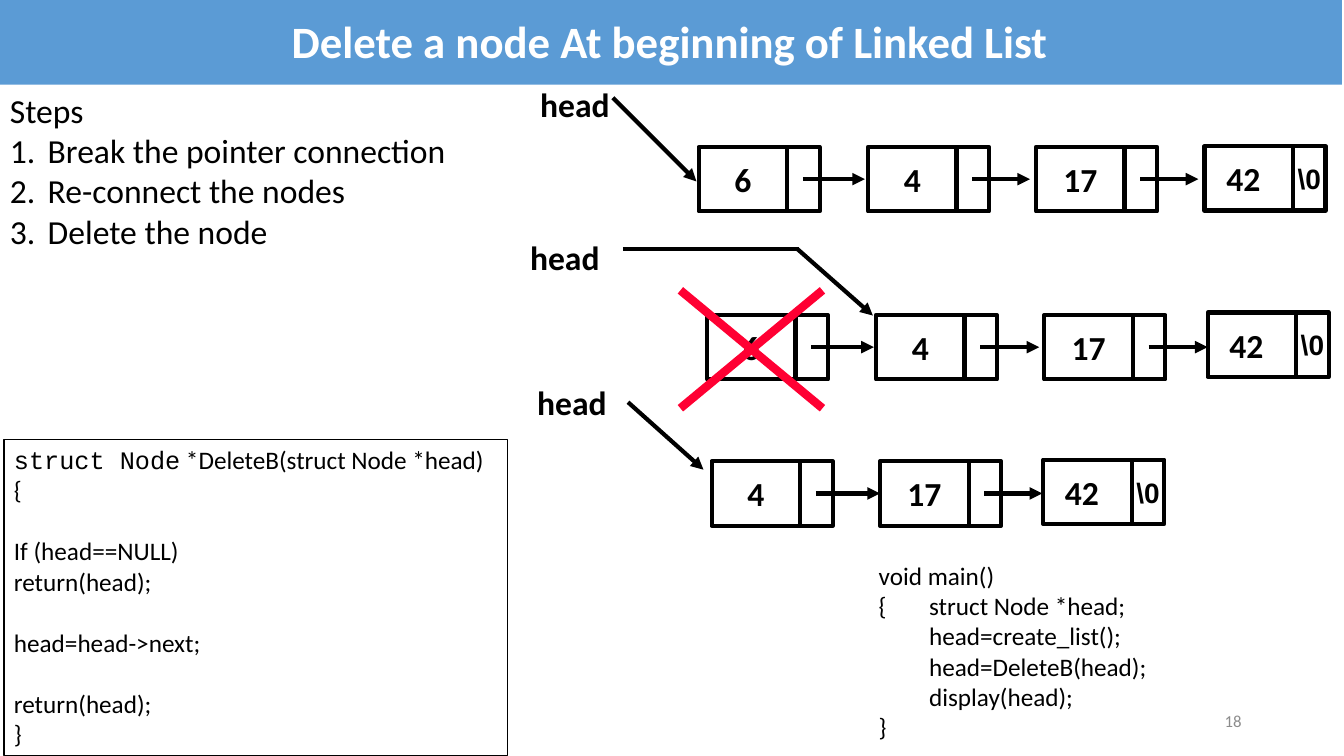
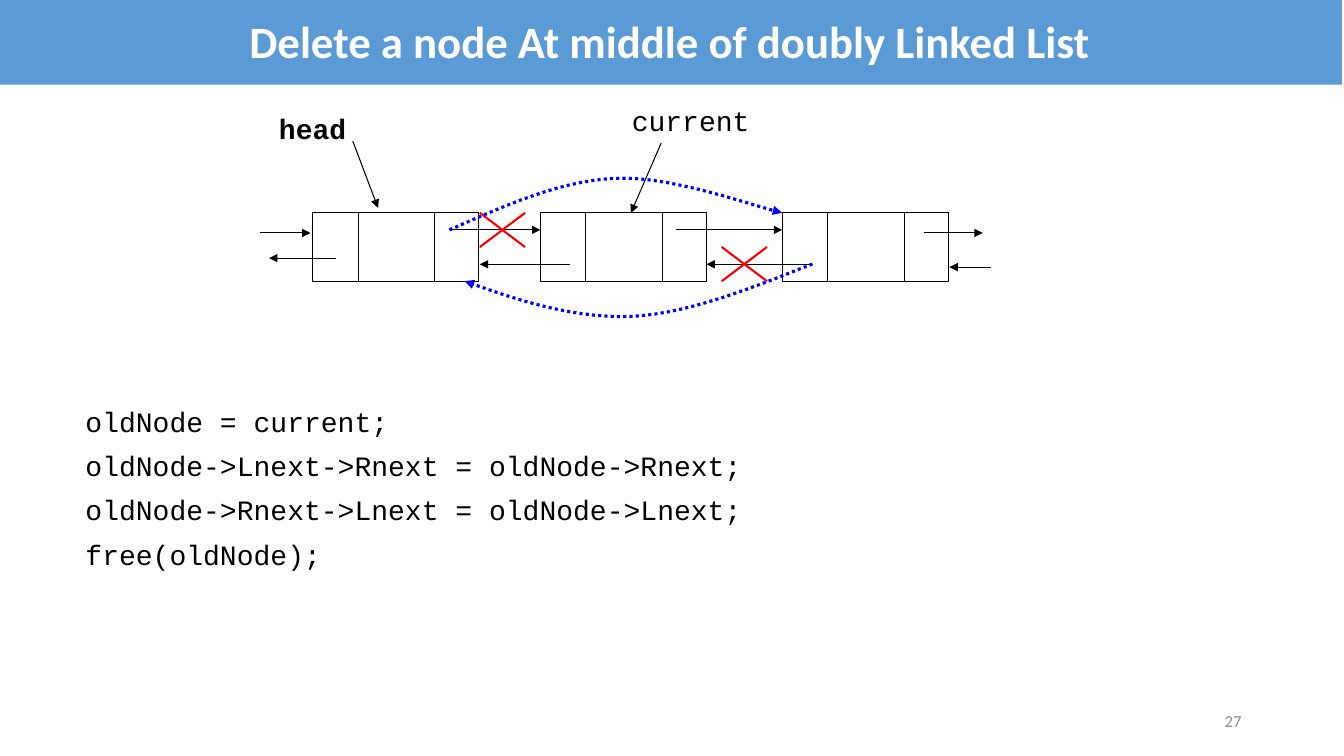
import pptx
import pptx.util
import pptx.dml.color
import pptx.enum.dml
import pptx.enum.shapes
import pptx.enum.text
import pptx.oxml
import pptx.oxml.ns

Pt = pptx.util.Pt
RGB = pptx.dml.color.RGBColor
ALIGN = pptx.enum.text.PP_ALIGN
ANCHOR = pptx.enum.text.MSO_ANCHOR

BLACK = RGB(0, 0, 0)
WHITE = RGB(255, 255, 255)
BAND_BLUE = RGB(0x5B, 0x9B, 0xD5)
PAGE_GREY = RGB(0x8C, 0x8C, 0x8C)
CROSS_PINK = RGB(0xFF, 0, 0x33)
CROSS_RED = RGB(255, 0, 0)
NEW_LINK_BLUE = RGB(0, 0, 255)
BODY, MONO, NULL_FONT = "Calibri", "Courier New", "Arial"

# ---- Content: deletion at the beginning (points) ----
STEPS = ["Break the pointer connection", "Re-connect the nodes", "Delete the node"]
# Each list: head label, pointer lines (last one has the arrowhead),
# nodes as (value, left, top, end of link arrow; None marks the tail)
LISTS = [
    dict(label=(378.7, 56.2), pointer=[(437.8, 69.8, 497.5, 129.6)],
         nodes=[("6", 499, 105, 617.8), ("4", 620, 105, 735.8),
                ("17", 740, 105, 856), ("42", 860.4, 104.4, None)]),
    dict(label=(371.5, 165.6),
         pointer=[(445, 177.8, 571, 177.8), (569.5, 177.8, 623.5, 225.4)],
         nodes=[("6", 505, 225, 624.2), ("4", 625.7, 225, 742.3),
                ("17", 746, 225, 862.6), ("42", 862.6, 223.2, None)]),
    dict(label=(376.6, 269.3), pointer=[(448.6, 287.3, 502.5, 335.5)],
         nodes=[("4", 508.3, 329.5, 628.6), ("17", 628.6, 329.5, 744.5),
                ("42", 745.2, 328.3, None)]),
]
DATA_W, LINK_W, NODE_H = 63.3, 23.2, 46
DELETED_CROSS = (486, 207.4, 101.5, 84.2)
# Code lines: (runs as (text, font), blank lines before)
DELETE_CODE = [
    ([("struct Node", MONO), (" *DeleteB(struct Node *head)", BODY)], 0),
    ([("{", BODY)], 0),
    ([("If (head==NULL)", BODY)], 1),
    ([("return(head);", BODY)], 0),
    ([("head=head->next;", BODY)], 1),
    ([("return(head);", BODY)], 1),
    ([("}", BODY)], 0),
]
MAIN_CODE = ["void main()", "{\tstruct Node *head;", "\thead=create_list();",
             "\thead=DeleteB(head);", "\tdisplay(head);", "}"]
CODE_LINE = 22

# ---- Content: deletion in the middle of a doubly linked list ----
DOUBLY_LEFTS = [223.2, 385.9, 558.7]
DOUBLY_TOP, DOUBLY_W, DOUBLY_H = 152, 118.8, 49
DOUBLY_DIVIDERS = [32.6, 87.1]
DOUBLY_ARROWS = [
    (472.3, 102.2, 450.7, 152), (252, 100.8, 270, 148.5),
    (321, 164.2, 386, 164.2), (407.5, 188.8, 342.7, 188.8),
    (483, 164.2, 558.7, 164.2), (580.3, 188.8, 504.7, 188.8),
    (185.8, 166.4, 221.8, 166.4), (239.8, 184.4, 192.2, 184.4),
    (707.8, 190.8, 678.2, 190.8), (660.2, 166.4, 702, 166.4),
]
BROKEN_LINKS = [(342.7, 152, 32.4, 24.5), (515.5, 176.4, 32.4, 24.5)]
# Curves: start point, then pairs of Bezier segments
NEW_LINKS = [
    [(321.1, 164.2), (360.7, 146.9), (400.3, 128.9), (439.9, 127.4),
     (479.5, 125.3), (539.3, 147.6), (558.7, 152)],
    [(580.3, 188.6), (536.4, 205.9), (492.5, 223.9), (450.7, 226.1),
     (409, 227.5), (370, 214.6), (331.9, 200.9)],
]
LABELS = [("head", 192.2, 76.3, True), ("current", 444.2, 70.6, False)]
RELINK_CODE = ["oldNode = current;", "oldNode->Lnext->Rnext = oldNode->Rnext;",
               "oldNode->Rnext->Lnext = oldNode->Lnext;", "free(oldNode);"]


# ---- Shared helpers ----
def add_run(paragraph, text, size, font=BODY, color=BLACK, bold=False):
    run = paragraph.add_run()
    run.text = text
    run.font.name, run.font.size, run.font.bold = font, Pt(size), bold
    run.font.color.rgb = color


def paragraphs(frame, count):
    return [frame.paragraphs[0]] + [frame.add_paragraph() for _ in range(count - 1)]


def text_box(slide, left, top, width, height, wrap=True):
    frame = slide.shapes.add_textbox(Pt(left), Pt(top), Pt(width), Pt(height)).text_frame
    frame.word_wrap = wrap
    return frame


def box(slide, left, top, width, height, fill=None, line=BLACK, weight=3.0):
    shape = slide.shapes.add_shape(pptx.enum.shapes.MSO_SHAPE.RECTANGLE,
                                   Pt(left), Pt(top), Pt(width), Pt(height))
    shape.shadow.inherit = False
    if fill is None:
        shape.fill.background()
    else:
        shape.fill.solid()
        shape.fill.fore_color.rgb = fill
    if line is None:
        shape.line.fill.background()
    else:
        shape.line.color.rgb = line
        shape.line.width = Pt(weight)
    return shape


def cell(slide, left, top, width, text="", size=24, font=BODY, right_inset=0):
    frame = box(slide, left, top, width, NODE_H).text_frame
    frame.margin_left = frame.margin_top = frame.margin_bottom = 0
    frame.margin_right = Pt(right_inset)
    frame.word_wrap = False
    frame.vertical_anchor = ANCHOR.MIDDLE
    if text:
        frame.paragraphs[0].alignment = ALIGN.CENTER
        add_run(frame.paragraphs[0], text, size, font, bold=True)


def add_arrowhead(shape):
    tail = pptx.oxml.parse_xml('<a:tailEnd %s type="triangle"/>' % pptx.oxml.ns.nsdecls("a"))
    shape.line._get_or_add_ln().append(tail)


def line(slide, ends, weight=3.0, color=BLACK, arrow=False):
    connector = slide.shapes.add_connector(pptx.enum.shapes.MSO_CONNECTOR.STRAIGHT,
                                           *[Pt(v) for v in ends])
    connector.line.color.rgb = color
    connector.line.width = Pt(weight)
    if arrow:
        add_arrowhead(connector)
    connector._element.spPr.append(
        pptx.oxml.parse_xml("<a:effectLst %s/>" % pptx.oxml.ns.nsdecls("a")))


def cross(slide, left, top, width, height, weight, color):
    right, bottom = left + width, top + height
    line(slide, (left, top, right, bottom), weight, color)
    line(slide, (right, top, left, bottom), weight, color)


def curve(slide, points, steps=14):
    path = []
    for first in range(0, len(points) - 1, 3):
        segment = points[first:first + 4]
        for step in range(1, steps + 1):
            t = step / steps
            weights = ((1 - t) ** 3, 3 * t * (1 - t) ** 2, 3 * t * t * (1 - t), t ** 3)
            path.append(tuple(Pt(sum(w * p[axis] for w, p in zip(weights, segment)))
                              for axis in (0, 1)))
    builder = slide.shapes.build_freeform(Pt(points[0][0]), Pt(points[0][1]))
    builder.add_line_segments(path, close=False)
    link = builder.convert_to_shape()
    link.shadow.inherit = False
    link.fill.background()
    link.line.color.rgb = NEW_LINK_BLUE
    link.line.width = Pt(2.25)
    link.line.dash_style = pptx.enum.dml.MSO_LINE.ROUND_DOT
    add_arrowhead(link)


def new_slide(deck, title, number):
    slide = deck.slides.add_slide(deck.slide_layouts[6])
    page = text_box(slide, 678, 500.4, 216, 28.8)
    page.vertical_anchor = ANCHOR.MIDDLE
    page.paragraphs[0].alignment = ALIGN.RIGHT
    add_run(page.paragraphs[0], number, 12, color=PAGE_GREY)
    band = box(slide, -1.5, -3, 960, 63.5, BAND_BLUE, None).text_frame
    band.vertical_anchor = ANCHOR.MIDDLE
    band.paragraphs[0].alignment = ALIGN.CENTER
    add_run(band.paragraphs[0], title, 32, color=WHITE, bold=True)
    return slide


# ---- Slides ----
def build_beginning(deck):
    slide = new_slide(deck, "Delete a node At beginning of Linked List", "18")

    # Numbered steps
    heading, *items = paragraphs(text_box(slide, 0, 60.5, 480, 124), len(STEPS) + 1)
    add_run(heading, "Steps", 24)
    for paragraph, step in zip(items, STEPS):
        properties = paragraph._p.get_or_add_pPr()
        properties.set("marL", str(Pt(27)))
        properties.set("indent", str(-Pt(27)))
        properties.append(pptx.oxml.parse_xml(
            '<a:buAutoNum %s type="arabicPeriod"/>' % pptx.oxml.ns.nsdecls("a")))
        add_run(paragraph, step, 24)

    # Linked lists before, during and after the deletion
    for chain in LISTS:
        label = text_box(slide, *chain["label"], 70.6, 36, wrap=False)
        add_run(label.paragraphs[0], "head", 24, bold=True)
        for value, left, top, link_end in chain["nodes"]:
            is_tail = link_end is None
            cell(slide, left, top, DATA_W, value, right_inset=8 if is_tail else 0)
            cell(slide, left + DATA_W, top, LINK_W, "\\0" if is_tail else "", 20, NULL_FONT)
            if not is_tail:
                middle = top + NODE_H / 2
                line(slide, (left + 74.5, middle, link_end, middle), arrow=True)
        for part in chain["pointer"]:
            line(slide, part, arrow=part is chain["pointer"][-1])
    cross(slide, *DELETED_CROSS, 6, CROSS_PINK)

    # Code of the function and of its caller
    function = box(slide, 2.9, 314, 360, 225.4, weight=0.75).text_frame
    function.word_wrap = True
    function.vertical_anchor = ANCHOR.TOP
    for paragraph, (runs, blank_lines) in zip(paragraphs(function, len(DELETE_CODE)),
                                              DELETE_CODE):
        paragraph.alignment = ALIGN.LEFT
        paragraph.space_before = Pt(CODE_LINE * blank_lines)
        for text, font in runs:
            add_run(paragraph, text, 18, font)
    caller = text_box(slide, 620.6, 396.7, 273, 138)
    for paragraph, text in zip(paragraphs(caller, len(MAIN_CODE)), MAIN_CODE):
        add_run(paragraph, text, 18)


def build_middle(deck):
    slide = new_slide(deck, "Delete a node At middle of doubly Linked List", "27")

    # Code
    relink = text_box(slide, 54, 288, 612, 192)
    for index, paragraph in enumerate(paragraphs(relink, len(RELINK_CODE))):
        paragraph.line_spacing = 0.9
        paragraph.space_before = Pt(10 if index else 0)
        add_run(paragraph, RELINK_CODE[index], 20, MONO)

    # Nodes, pointers and labels
    for left in DOUBLY_LEFTS:
        box(slide, left, DOUBLY_TOP, DOUBLY_W, DOUBLY_H, WHITE, weight=0.75)
        for offset in DOUBLY_DIVIDERS:
            x = left + offset
            line(slide, (x, DOUBLY_TOP, x, DOUBLY_TOP + DOUBLY_H), 0.75)
    for ends in DOUBLY_ARROWS:
        line(slide, ends, 0.75, arrow=True)
    for text, left, top, bold in LABELS:
        label = text_box(slide, left, top, 110, 36.7)
        add_run(label.paragraphs[0], text, 20, MONO, bold=bold)

    # Broken and new links
    for area in BROKEN_LINKS:
        cross(slide, *area, 1.5, CROSS_RED)
    for points in NEW_LINKS:
        curve(slide, points)


def main():
    deck = pptx.Presentation()
    deck.slide_width, deck.slide_height = Pt(960), Pt(540)
    build_beginning(deck)
    build_middle(deck)
    deck.save("out.pptx")


if __name__ == "__main__":
    main()
